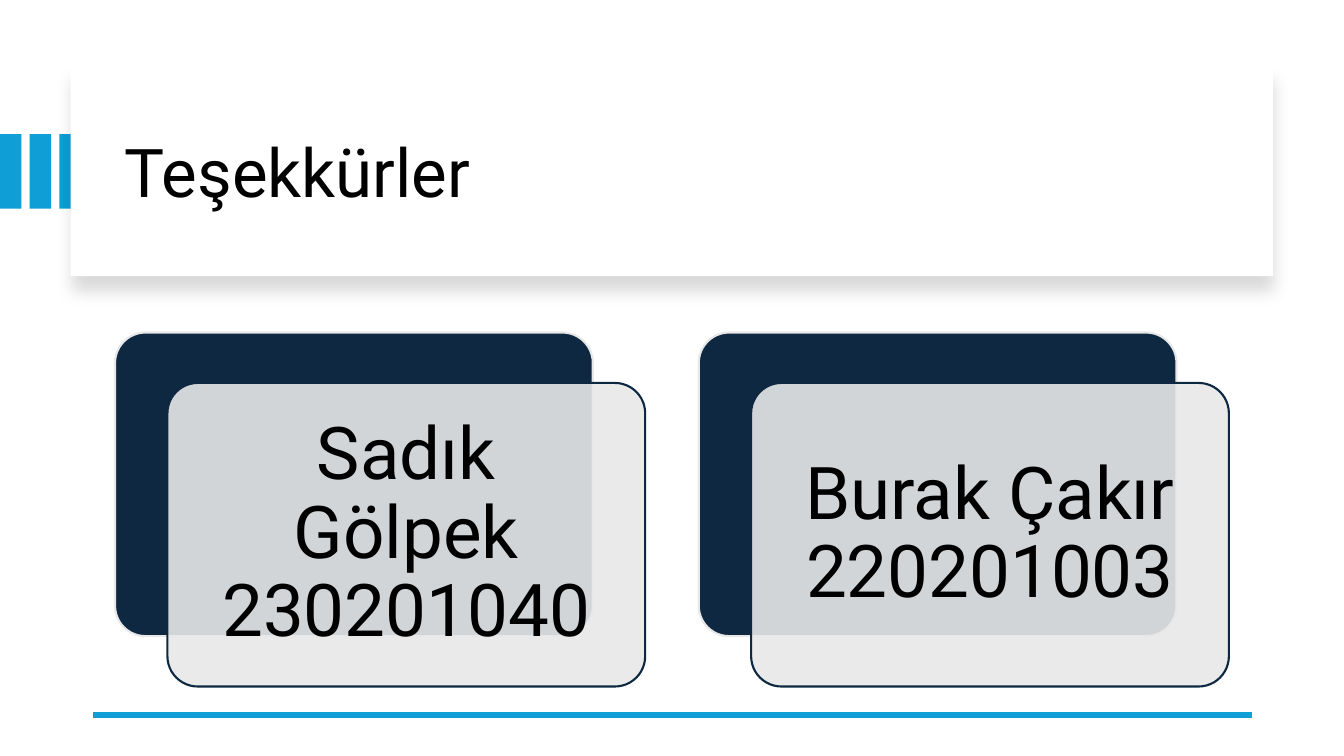
from lxml.etree import SubElement
from pptx import Presentation
from pptx.dml.color import RGBColor
from pptx.enum.shapes import MSO_CONNECTOR, MSO_SHAPE
from pptx.enum.text import MSO_ANCHOR, PP_ALIGN
from pptx.oxml.ns import qn
from pptx.util import Cm, Pt

TITLE = "Teşekkürler"
MEMBERS = ["Sadık Gölpek 230201040", "Burak Çakır 220201003"]
COLORS = {"accent": "0F9ED5", "navy": "0E2841", "pale": "E8E8E8",
          "white": "FFFFFF", "black": "000000"}
FONT = "Roboto"

BAR_COUNT, BAR_TOP, BAR_PITCH = 3, 3.38, 0.75
BAR_SIZE = (0.54, 1.88)
PANEL = (1.78, 1.7, 30.3, 5.26)
TITLE_AREA = (2.9, 2.26, 28.27, 4.32)
RULE_RIGHT, RULE_LEFT, RULE_TOP = 31.55, 2.34, 18.01
CARD_LEFT, CARD_TOP, CARD_PITCH = 2.9, 8.38, 14.71
CARD_SIZE = (12.04, 7.65)
CARD_SHIFT = (1.32, 1.27)


def color(name):
    return RGBColor.from_string(COLORS[name])


def add_block(page, kind, area, fill, line=None):
    block = page.shapes.add_shape(kind, *map(Cm, area))
    block.shadow.inherit = False
    block.fill.solid()
    block.fill.fore_color.rgb = color(fill)
    if line:
        block.line.color.rgb = color(line)
        block.line.width = Pt(1.5)
    else:
        block.line.fill.background()
    return block


def add_card(page, left, top, fill, line):
    card = add_block(page, MSO_SHAPE.ROUNDED_RECTANGLE,
                     (left, top, *CARD_SIZE), fill, line)
    card.adjustments[0] = 0.1
    return card


def write(box, text, size, align, margin=None):
    frame = box.text_frame
    frame.word_wrap = True
    frame.vertical_anchor = MSO_ANCHOR.MIDDLE
    if margin is not None:
        frame.margin_left = frame.margin_right = Cm(margin)
        frame.margin_top = frame.margin_bottom = Cm(margin)
    para = frame.paragraphs[0]
    para.alignment = align
    para.line_spacing = 0.9
    span = para.add_run()
    span.text = text
    span.font.size = Pt(size)
    span.font.name = FONT
    span.font.color.rgb = color("black")


def set_alpha(parent, percent):
    SubElement(parent, qn("a:alpha"), val=str(percent * 1000))


def add_soft_shadow(block):
    effects = block._element.spPr.find(qn("a:effectLst"))
    shadow = SubElement(effects, qn("a:outerShdw"), blurRad=str(Pt(11)),
                        dist=str(Pt(10)), dir="5400000", algn="t", rotWithShape="0")
    set_alpha(SubElement(shadow, qn("a:srgbClr"), val=COLORS["black"]), 15)


def main():
    deck = Presentation()
    deck.slide_width, deck.slide_height = Cm(33.87), Cm(19.05)
    page = deck.slides.add_slide(deck.slide_layouts[6])

    for index in range(BAR_COUNT):
        add_block(page, MSO_SHAPE.RECTANGLE,
                  (index * BAR_PITCH, BAR_TOP, *BAR_SIZE), "accent")

    add_soft_shadow(add_block(page, MSO_SHAPE.RECTANGLE, PANEL, "white"))
    heading = page.shapes.add_textbox(*map(Cm, TITLE_AREA))
    write(heading, TITLE, size=48, align=PP_ALIGN.LEFT)

    rule = page.shapes.add_connector(MSO_CONNECTOR.STRAIGHT, Cm(RULE_RIGHT),
                                     Cm(RULE_TOP), Cm(RULE_LEFT), Cm(RULE_TOP))
    rule.line.color.rgb = color("accent")
    rule.line.width = Pt(4.5)
    SubElement(rule._element.spPr, qn("a:effectLst"))

    shift_x, shift_y = CARD_SHIFT
    for index, member in enumerate(MEMBERS):
        left = CARD_LEFT + index * CARD_PITCH
        add_card(page, left, CARD_TOP, "navy", "pale")
        front = add_card(page, left + shift_x, CARD_TOP + shift_y, "pale", "navy")
        set_alpha(front._element.spPr.find(qn("a:solidFill"))[0], 90)
        write(front, member, size=52, align=PP_ALIGN.CENTER, margin=0.56)

    deck.save("out.pptx")


if __name__ == "__main__":
    main()
